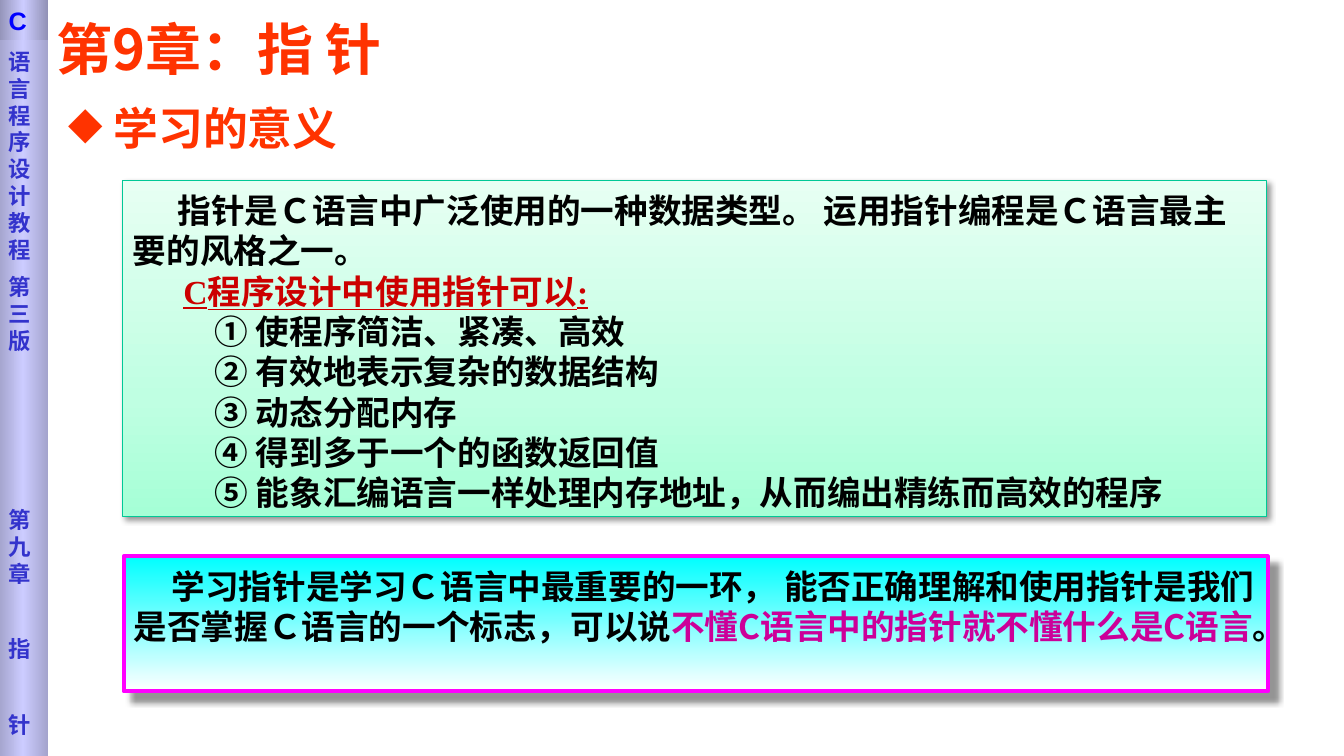
from dataclasses import dataclass

from lxml.etree import SubElement
from pptx import Presentation
from pptx.dml.color import RGBColor
from pptx.enum.shapes import MSO_SHAPE
from pptx.enum.text import MSO_ANCHOR, MSO_AUTO_SIZE, PP_ALIGN
from pptx.oxml.ns import qn
from pptx.util import Cm, Pt


@dataclass(frozen=True)
class Theme:
    """Colours, gradients, fonts and type sizes of the slide."""
    red: str = "FF3300"
    black: str = "000000"
    crimson: str = "CC0000"
    plum: str = "CC0099"
    blue: str = "0000FF"
    indigo: str = "3333CC"
    green: str = "00C896"
    pink: str = "FF00FF"
    metal: tuple = ((0, "A4A4CD"), (50, "CCCCFF"), (100, "A4A4CD"))
    steel: tuple = ((0, "9292B6"), (50, "CCCCFF"), (100, "9292B6"))
    mint: tuple = ((0, "A5FFD6"), (35, "BFFFE2"), (100, "E7FFF3"))
    cyan: tuple = ((0, "00FFFF"), (100, "FFFFFF"))
    serif: str = "Times New Roman"
    sans: str = "Arial"
    side: str = "DejaVu Sans"
    han: str = "Noto Sans CJK SC"
    head: str = "Noto Sans CJK JP"
    title: int = 40
    topic: int = 32
    body: int = 24
    badge: int = 18
    small: int = 16


THEME = Theme()
LEAD = 1.2


def write(frame, text, font=THEME.serif, size=THEME.body, color=THEME.black, under=None,
          left=0, first=0, before=0, bullet=None, tight=True, join=False):
    """Add bold text as a new paragraph, or join it to the last one."""
    para = frame.paragraphs[-1]
    if para.runs and not join:
        para = frame.add_paragraph()
    if not join:
        props = para._p.get_or_add_pPr()
        props.set("marL", str(Cm(left)))
        props.set("indent", str(Cm(first)))
        if bullet:
            SubElement(props, qn("a:buChar"), char=bullet)
        para.alignment = PP_ALIGN.LEFT
        para.space_before = Pt(before)
        if tight:
            para.line_spacing = Pt(size * LEAD)
    run = para.add_run()
    run.text = text
    run.font.name = font
    run.font.size = Pt(size)
    run.font.bold = True
    run.font.underline = under
    run.font.color.rgb = RGBColor.from_string(color)
    east = font if font == THEME.head else THEME.han
    SubElement(run._r.get_or_add_rPr(), qn("a:ea"), typeface=east)


def setup(frame, top=0.24, anchor=MSO_ANCHOR.TOP):
    """Give a text frame its wrap, insets and anchor."""
    frame.word_wrap = True
    frame.auto_size = MSO_AUTO_SIZE.NONE
    frame.margin_left = frame.margin_right = Cm(0.25)
    frame.margin_top, frame.margin_bottom = Cm(top), Cm(0.1)
    frame.vertical_anchor = anchor
    return frame


def panel(slide, place, stops, angle=0, edge=None, width=0, drop=0, top=0.24):
    """Draw a gradient box and return its text frame."""
    shape = slide.shapes.add_shape(MSO_SHAPE.RECTANGLE, *map(Cm, place))
    shape.fill.gradient()
    shape.fill.gradient_angle = angle
    ramp = shape._element.spPr.find(qn("a:gradFill")).find(qn("a:gsLst"))
    for stop in list(ramp):
        ramp.remove(stop)
    for point, color in stops:
        stop = SubElement(ramp, qn("a:gs"), pos=str(point * 1000))
        SubElement(stop, qn("a:srgbClr"), val=color)
    if edge:
        shape.line.color.rgb = RGBColor.from_string(edge)
        shape.line.width = Pt(width)
    else:
        shape.line.fill.background()
    shape.shadow.inherit = False
    if drop:
        shade(shape, drop)
    return setup(shape.text_frame, top)


def shade(shape, drop):
    """Cast a soft shadow down and to the right."""
    effects = shape._element.spPr.find(qn("a:effectLst"))
    outer = SubElement(effects, qn("a:outerShdw"), blurRad=str(Pt(4)), dist=str(Pt(drop)),
                       dir="2700000", algn="tl", rotWithShape="0")
    tint = SubElement(outer, qn("a:srgbClr"), val=THEME.black)
    SubElement(tint, qn("a:alpha"), val="42000")


def heads(slide):
    """Set the chapter title and the topic line."""
    title = slide.shapes.title
    title.left, title.top, title.width, title.height = map(Cm, (1.17, 0.36, 23.52, 1.7))
    frame = setup(title.text_frame, 0.1, MSO_ANCHOR.MIDDLE)
    write(frame, "第9章：指 针", font=THEME.head, size=THEME.title,
          color=THEME.red, tight=False)
    topic = slide.shapes.add_textbox(*map(Cm, (1.47, 2.31, 19.81, 1.6)))
    write(setup(topic.text_frame), "学习的意义", font=THEME.sans, size=THEME.topic,
          color=THEME.red, left=1.14, first=-1.14, bullet="◆")


def side(slide):
    """Draw the side bar with the book and chapter names."""
    bar = panel(slide, (-0.03, 0, 1.24, 19.05), THEME.metal, top=1.21)
    words = (("语言程序设计教程", 0), ("第三版", 7.5), ("第九章", 108.5),
             ("指", 35), ("针", 35))
    for text, gap in words:
        write(bar, text, font=THEME.side, size=THEME.small, color=THEME.indigo, before=gap)
    badge = panel(slide, (-0.03, 0, 1.24, 1.02), THEME.steel, top=0.13)
    write(badge, "C", font=THEME.sans, size=THEME.badge, color=THEME.blue, tight=False)


def uses(slide):
    """List what pointers are good for."""
    frame = panel(slide, (3.1, 4.55, 28.83, 8.46), THEME.mint, angle=90,
                  edge=THEME.green, width=0.75, drop=3)
    write(frame, "指针是Ｃ语言中广泛使用的一种数据类型。 运用指针编程是Ｃ语言最主要的风格之一。",
          first=1.13)
    write(frame, "C程序设计中使用指针可以:", color=THEME.crimson, under=True, left=1.27)
    for item in ("① 使程序简洁、紧凑、高效", "② 有效地表示复杂的数据结构", "③ 动态分配内存",
                 "④ 得到多于一个的函数返回值",
                 "⑤ 能象汇编语言一样处理内存地址，从而编出精练而高效的程序"):
        write(frame, item, left=2.06)


def moral(slide):
    """State why pointers matter."""
    frame = panel(slide, (3.12, 14.02, 28.83, 3.4), THEME.cyan, angle=270,
                  edge=THEME.pink, width=3, drop=8.4)
    write(frame, "学习指针是学习Ｃ语言中最重要的一环， 能否正确理解和使用指针是我们"
          "是否掌握Ｃ语言的一个标志，可以说", font=THEME.han, first=0.96)
    write(frame, "不懂C语言中的指针就不懂什么是C语言", font=THEME.han,
          color=THEME.plum, join=True)
    write(frame, "。", font=THEME.han, join=True)


def main():
    """Build the slide and save it."""
    deck = Presentation()
    deck.slide_width, deck.slide_height = Cm(33.87), Cm(19.05)
    slide = deck.slides.add_slide(deck.slide_layouts[5])
    heads(slide)
    side(slide)
    uses(slide)
    moral(slide)
    deck.save("out.pptx")


if __name__ == "__main__":
    main()
